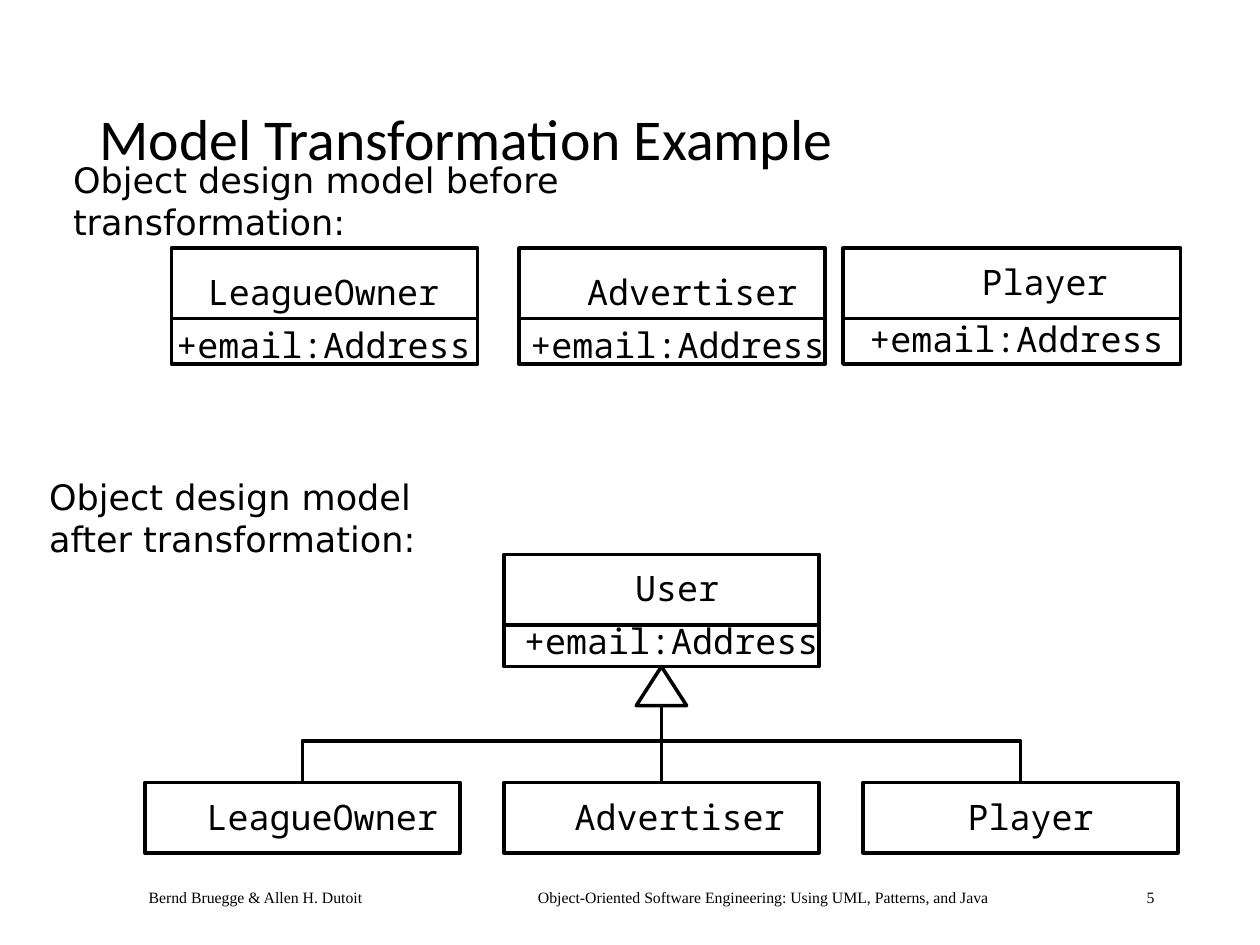
from dataclasses import dataclass

from lxml import etree
from pptx import Presentation
from pptx.dml.color import RGBColor
from pptx.enum.shapes import MSO_CONNECTOR as Connector, MSO_SHAPE as Preset
from pptx.enum.text import MSO_ANCHOR as Anchor
from pptx.oxml.ns import qn
from pptx.util import Inches, Pt

COLOURS = {"ink": "000000"}
INK = RGBColor.from_string(COLOURS["ink"])
MONO, SANS = "Noto Sans Mono", "DejaVu Sans"
LABEL_HEIGHT = 0.33
NAME_HEIGHT = 0.56
CHAR_WIDTH = 0.168  # one monospaced character at 20 pt
ATTRIBUTE = "+email:Address"


@dataclass
class UmlClass:
    name: str
    left: float
    top: float
    width: float
    name_at: tuple[float, float]
    attribute_at: tuple[float, float] | None = None
    attribute_height: float = 0.36


def outline(shape):
    shape.shadow.inherit = False
    shape.fill.background()
    shape.line.color.rgb = INK
    shape.line.width = Pt(2)
    return shape


def add_preset(slide, preset, left: float, top: float, width: float, height: float):
    return outline(slide.shapes.add_shape(
        preset, Inches(left), Inches(top), Inches(width), Inches(height)))


def add_text(slide, text: str, left: float, top: float, width: float, height: float,
             font: str = MONO, size: float = 20, wrap: bool = False):
    box = slide.shapes.add_textbox(
        Inches(left), Inches(top), Inches(width), Inches(height))
    frame = box.text_frame
    frame.word_wrap = wrap
    frame.margin_left = frame.margin_right = 0
    frame.margin_top = frame.margin_bottom = 0
    paragraph = frame.paragraphs[0]
    paragraph.text = text
    paragraph.font.name = font
    paragraph.font.size = Pt(size)
    paragraph.font.color.rgb = INK
    return frame


def add_label(slide, text: str, at: tuple[float, float]) -> None:
    add_text(slide, text, *at, len(text) * CHAR_WIDTH, LABEL_HEIGHT)


def add_class(slide, uml: UmlClass):
    """Draw a class and return the rectangle that holds its name."""
    if uml.attribute_at:
        add_preset(slide, Preset.RECTANGLE, uml.left, uml.top + NAME_HEIGHT,
                   uml.width, uml.attribute_height)
        add_label(slide, ATTRIBUTE, uml.attribute_at)
    name_box = add_preset(slide, Preset.RECTANGLE, uml.left, uml.top,
                          uml.width, NAME_HEIGHT)
    add_label(slide, uml.name, uml.name_at)
    return name_box


def add_open_path(slide, points: list[tuple[float, float]]) -> None:
    start, *rest = [(Inches(x), Inches(y)) for x, y in points]
    builder = slide.shapes.build_freeform(*start)
    builder.add_line_segments(rest, close=False)
    outline(builder.convert_to_shape())


def add_tab_stops(paragraph, positions: list[float]) -> None:
    properties = paragraph._p.get_or_add_pPr()
    stops = etree.Element(qn("a:tabLst"))
    for position in positions:
        etree.SubElement(stops, qn("a:tab"), pos=str(Inches(position)), algn="l")
    properties.insert(0, stops)


BEFORE = [
    UmlClass("LeagueOwner", 1.36, 1.97, 2.43, (1.65, 2.15), (1.4, 2.57)),
    UmlClass("Advertiser", 4.12, 1.97, 2.43, (4.66, 2.15), (4.21, 2.57)),
    UmlClass("Player", 6.69, 1.97, 2.68, (7.79, 2.07), (6.9, 2.52)),
]

# After the transformation: three equally spaced subclasses under User
SUB_LEFT, SUB_TOP, SUB_WIDTH, SUB_STEP = 1.15, 6.21, 2.5, 2.85
SUBCLASSES = [
    UmlClass(name, SUB_LEFT + i * SUB_STEP, SUB_TOP, SUB_WIDTH, (text_left, 6.31))
    for i, (name, text_left) in enumerate(
        [("LeagueOwner", 1.64), ("Advertiser", 4.56), ("Player", 7.68)])
]
USER = UmlClass("User", SUB_LEFT + SUB_STEP, 4.4, SUB_WIDTH,
                (5.04, 4.5), (4.16, 4.92), 0.33)


def main() -> None:
    prs = Presentation()
    prs.slide_width, prs.slide_height = Inches(10), Inches(7.5)
    slide = prs.slides.add_slide(prs.slide_layouts[6])

    # Footer
    footer = add_text(
        slide,
        "Bernd Bruegge & Allen H. Dutoit\t"
        "Object-Oriented Software Engineering: Using UML, Patterns, and Java\t5",
        0.58, 7, 9.17, 0.25, "Times New Roman", 9, wrap=True)
    footer.margin_left, footer.margin_top = Inches(0.6), Inches(0.05)
    add_tab_stops(footer.paragraphs[0], [3.09, 7.92])

    # Title and section captions
    title = add_text(slide, "Model Transformation Example",
                     0.69, 0.4, 8.63, 1.45, "Calibri", 33, wrap=True)
    title.margin_left = Inches(0.1)
    title.vertical_anchor = Anchor.MIDDLE
    title.paragraphs[0].line_spacing = 0.9
    add_text(slide, "Object design model before transformation:",
             0.58, 1.26, 5.77, LABEL_HEIGHT, SANS, wrap=True)
    add_text(slide, "Object design model after transformation:",
             0.39, 3.77, 3.26, 2 * LABEL_HEIGHT, SANS, wrap=True)

    # Classes
    for uml in BEFORE:
        add_class(slide, uml)
    add_class(slide, USER)
    sub_boxes = [add_class(slide, uml) for uml in SUBCLASSES]

    # Inheritance arrow, bracket and stem
    left_axis, middle_axis, right_axis = [
        uml.left + uml.width / 2 for uml in SUBCLASSES]
    arrow_top, arrow_width, arrow_height = 5.29, 0.4, 0.31
    arrow = add_preset(slide, Preset.ISOSCELES_TRIANGLE,
                       middle_axis - arrow_width / 2, arrow_top,
                       arrow_width, arrow_height)
    bracket_top = 5.88
    add_open_path(slide, [(left_axis, SUB_TOP), (left_axis, bracket_top),
                          (right_axis, bracket_top), (right_axis, SUB_TOP)])
    stem = slide.shapes.add_connector(
        Connector.STRAIGHT, Inches(middle_axis), Inches(SUB_TOP),
        Inches(middle_axis), arrow.top + arrow.height)
    stem.begin_connect(sub_boxes[1], 0)
    stem.line.color.rgb = INK
    stem.line.width = Pt(2)
    etree.SubElement(stem._element.spPr, qn("a:effectLst"))

    prs.save("out.pptx")


if __name__ == "__main__":
    main()
